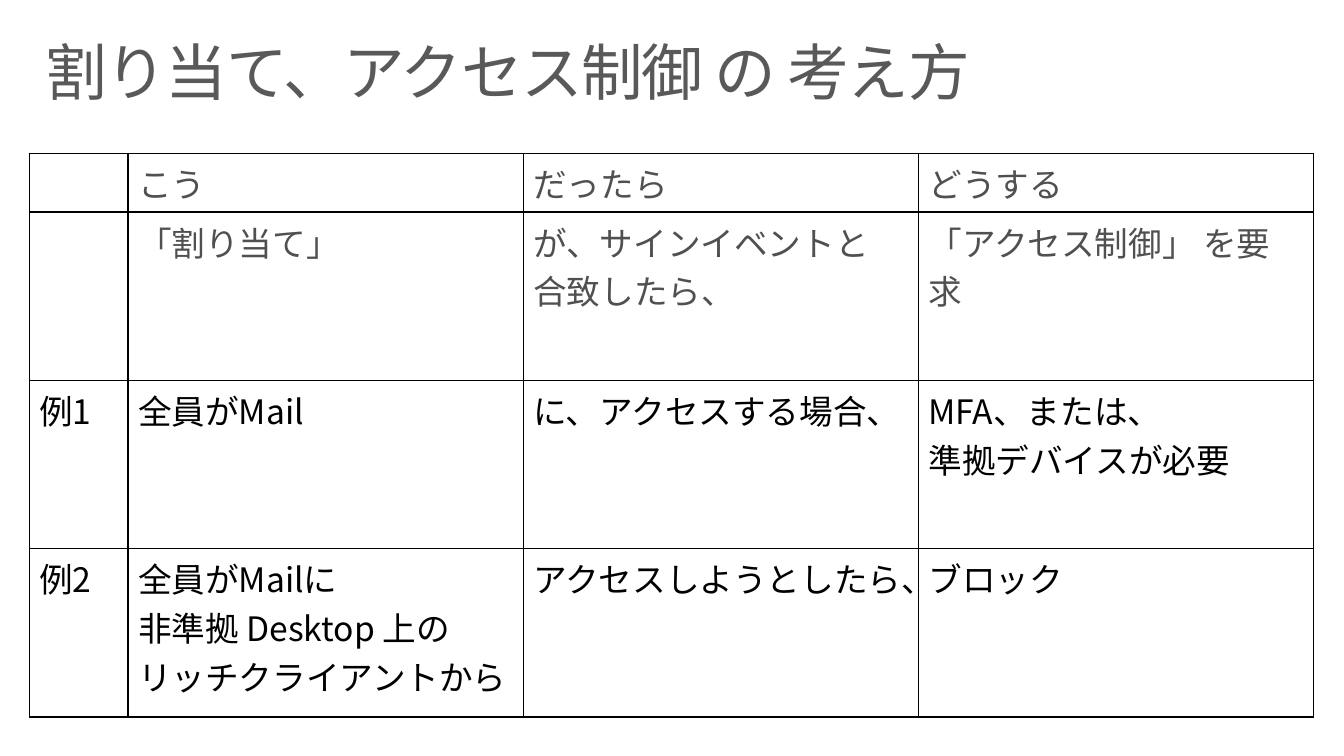
from lxml.etree import SubElement
from pptx import Presentation
from pptx.dml.color import RGBColor
from pptx.enum.text import MSO_ANCHOR, PP_ALIGN
from pptx.oxml.ns import qn
from pptx.util import Inches, Pt

FONT = "Noto Sans CJK JP"
TITLE_GRAY = RGBColor(0x59, 0x59, 0x59)
HEAD_GRAY = RGBColor(0x50, 0x50, 0x50)
BLACK = RGBColor(0, 0, 0)

COLUMN_WIDTHS = [0.98, 3.92, 3.92, 3.92]
ROW_HEIGHTS = [0.56, 1.67, 1.67, 1.67]
HEADER_ROWS = 2
ROWS = [
    ["", "こう", "だったら", "どうする"],
    ["", "「割り当て」", "が、サインイベントと\n合致したら、", "「アクセス制御」 を要求"],
    ["例1", "全員がMail", "に、アクセスする場合、", "MFA、または、\n準拠デバイスが必要"],
    ["例2", "全員がMailに\n非準拠 Desktop 上の\nリッチクライアントから",
     "アクセスしようとしたら、", "ブロック"],
]


class SlideBuilder:
    """Draws styled elements on the current slide."""

    def __init__(self, prs):
        self.slide = prs.slides.add_slide(prs.slide_layouts[5])

    def style(self, p, size, color):
        for r in p.runs:
            r.font.size = Pt(size)
            r.font.name = FONT
            r.font.color.rgb = color
            SubElement(r.font._element, qn("a:ea"), typeface=FONT)

    def title(self, text, left, top, width, height):
        sp = self.slide.shapes.title
        sp.left, sp.top = Inches(left), Inches(top)
        sp.width, sp.height = Inches(width), Inches(height)
        tf = sp.text_frame
        tf.text = text
        tf.word_wrap = True
        tf.vertical_anchor = MSO_ANCHOR.TOP
        tf.margin_left = tf.margin_right = Inches(0.16)
        tf.margin_top = tf.margin_bottom = Inches(0.1)
        p = tf.paragraphs[0]
        p.alignment = PP_ALIGN.LEFT
        p.line_spacing = 0.9
        self.style(p, 44, TITLE_GRAY)
        p.runs[0].font._element.set("spc", "-100")

    def borders(self, cell):
        tcPr = cell._tc.get_or_add_tcPr()
        for side in ("lnL", "lnR", "lnT", "lnB"):
            ln = SubElement(tcPr, qn(f"a:{side}"), w=str(Pt(1)))
            fill = SubElement(ln, qn("a:solidFill"))
            SubElement(fill, qn("a:srgbClr"), val=str(BLACK))

    def table(self, rows, left, top, widths, heights):
        frame = self.slide.shapes.add_table(
            len(rows), len(widths), Inches(left), Inches(top),
            Inches(sum(widths)), Inches(sum(heights)))
        table = frame.table
        table.first_row = table.horz_banding = False
        for column, width in zip(table.columns, widths):
            column.width = Inches(width)
        for i, (row, height) in enumerate(zip(rows, heights)):
            table.rows[i].height = Inches(height)
            color = HEAD_GRAY if i < HEADER_ROWS else BLACK
            for j, text in enumerate(row):
                cell = table.cell(i, j)
                self.borders(cell)
                cell.fill.background()
                cell.text_frame.text = text
                for p in cell.text_frame.paragraphs:
                    self.style(p, 24, color)


def main():
    prs = Presentation()
    prs.slide_width, prs.slide_height = Inches(13.33), Inches(7.5)
    s = SlideBuilder(prs)
    s.title("割り当て、アクセス制御 の 考え方", 0.29, 0.32, 12.75, 0.98)
    s.table(ROWS, 0.29, 1.52, COLUMN_WIDTHS, ROW_HEIGHTS)
    prs.save("out.pptx")


if __name__ == "__main__":
    main()
